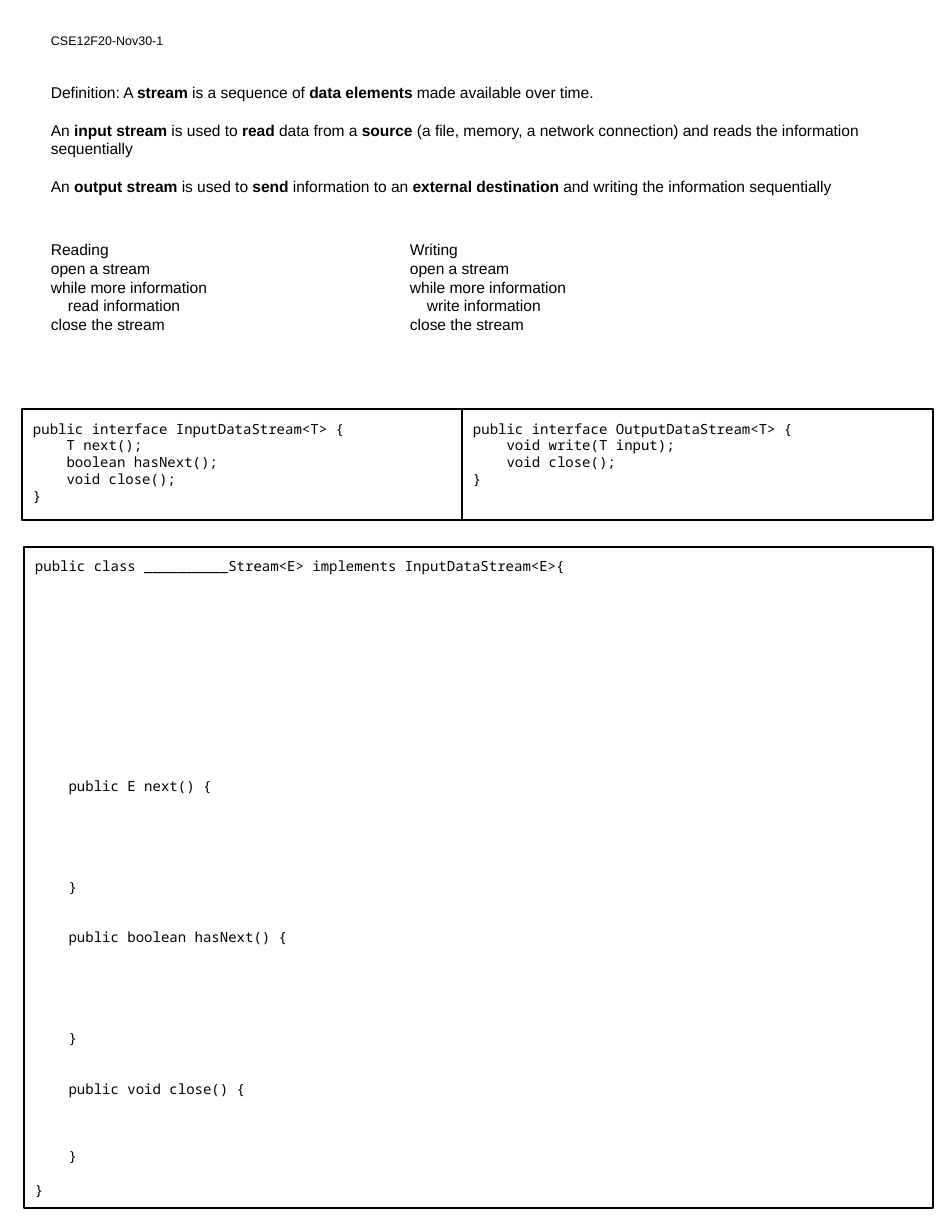
from dataclasses import dataclass

from pptx import Presentation
from pptx.dml.color import RGBColor
from pptx.enum.shapes import MSO_SHAPE as Preset
from pptx.enum.text import MSO_ANCHOR as Anchor, PP_ALIGN as Align
from pptx.util import Emu, Pt

EMU_PER_PX = 914400 / 112


@dataclass(frozen=True)
class Theme:
    ink = RGBColor(0, 0, 0)
    line_width = Pt(0.75)
    header = {"name": "Arial", "size": Pt(8)}
    prose = {"name": "Arial", "size": Pt(10)}
    code = {"name": "Noto Sans Mono", "size": Pt(9)}
    header_pitch = 9.6
    prose_pitch = 12.05
    code_pitch = 10.83


THEME = Theme()

# Pieces between asterisks are bold
DEFINITIONS = [
    "Definition: A *stream* is a sequence of *data elements* made available over time.",
    "An *input stream* is used to *read *data from a *source *"
    "(a file, memory, a network connection) and reads the information sequentially",
    "An *output stream* is used to *send *information to an "
    "*external destination *and writing the information sequentially",
]

INPUT_INTERFACE = [
    "public interface InputDataStream<T> {",
    "    T next();",
    "    boolean hasNext();",
    "    void close();",
    "}",
]
OUTPUT_INTERFACE = [
    "public interface OutputDataStream<T> {",
    "    void write(T input);",
    "    void close();",
    "}",
]

# Each line of the class with the number of writing lines left above it
STREAM_CLASS = [
    (0, "public class __________Stream<E> implements InputDataStream<E>{"),
    (12, "    public E next() {"),
    (5, "    }"),
    (2, "    public boolean hasNext() {"),
    (5, "    }"),
    (2, "    public void close() {"),
    (3, "    }"),
    (1, "}"),
]


def px(value):
    return Emu(round(value * EMU_PER_PX))


def apply(target, values):
    for name, value in values.items():
        setattr(target, name, value)


def set_frame(shape, inset_y=11):
    frame = shape.text_frame
    apply(frame, {
        "word_wrap": True, "vertical_anchor": Anchor.TOP,
        "margin_left": px(11), "margin_right": px(11),
        "margin_top": px(inset_y), "margin_bottom": px(inset_y),
    })
    return frame


def write_lines(frame, lines, font, pitch):
    """Write (gap in lines, text) pairs; asterisks switch bold on and off."""
    for index, (gap, text) in enumerate(lines):
        paragraph = frame.paragraphs[0] if index == 0 else frame.add_paragraph()
        apply(paragraph, {"alignment": Align.LEFT, "line_spacing": Pt(pitch)})
        if gap:
            paragraph.space_before = Pt(round(gap * pitch, 2))
        for part, piece in enumerate(text.split("*")):
            if piece:
                run = paragraph.add_run()
                run.text = piece
                apply(run.font, {**font, "bold": part % 2 == 1})
                run.font.color.rgb = THEME.ink


def add_text(slide, box, lines, font, pitch, inset_y=11):
    shape = slide.shapes.add_textbox(*map(px, box))
    frame = set_frame(shape, inset_y)
    write_lines(frame, lines, font, pitch)
    return frame


def add_code_box(slide, box, lines):
    shape = slide.shapes.add_shape(Preset.RECTANGLE, *map(px, box))
    shape.shadow.inherit = False
    shape.fill.background()
    shape.line.color.rgb = THEME.ink
    shape.line.width = THEME.line_width
    write_lines(set_frame(shape), lines, THEME.code, THEME.code_pitch)


def add_definitions(slide, box):
    lines = [(int(index > 0), text) for index, text in enumerate(DEFINITIONS)]
    add_text(slide, box, lines, THEME.prose, THEME.prose_pitch)


def add_steps(slide, box):
    """Reading and writing steps side by side."""
    left, top, width, height = box
    for offset, title, verb in ((0, "Reading", "read"), (359, "Writing", "write")):
        steps = [title, "open a stream", "while more information",
                 f"{verb} information", "close the stream"]
        frame = add_text(slide, (left + offset, top, width, height),
                         [(0, step) for step in steps],
                         THEME.prose, THEME.prose_pitch, inset_y=6)
        # Indent the body of the loop
        properties = frame.paragraphs[3]._p.get_or_add_pPr()
        properties.set("marL", str(px(17)))
        properties.set("indent", "0")


def add_interfaces(slide, box):
    """Two code boxes that share an edge."""
    left, top, width, height = box
    split = 440
    for offset, box_width, code in ((0, split, INPUT_INTERFACE),
                                    (split, width - split, OUTPUT_INTERFACE)):
        add_code_box(slide, (left + offset, top, box_width, height),
                     [(0, line) for line in code])


def main():
    presentation = Presentation()
    presentation.slide_width, presentation.slide_height = px(952), px(1232)
    slide = presentation.slides.add_slide(presentation.slide_layouts[6])

    add_text(slide, (40, 25, 228, 37), [(0, "CSE12F20-Nov30-1")],
             THEME.header, THEME.header_pitch)
    add_definitions(slide, (40, 72, 870, 162))
    add_steps(slide, (40, 234, 324, 105))
    add_interfaces(slide, (22, 409, 911, 111))
    add_code_box(slide, (24, 547, 909, 661), STREAM_CLASS)

    presentation.save("out.pptx")


if __name__ == "__main__":
    main()
